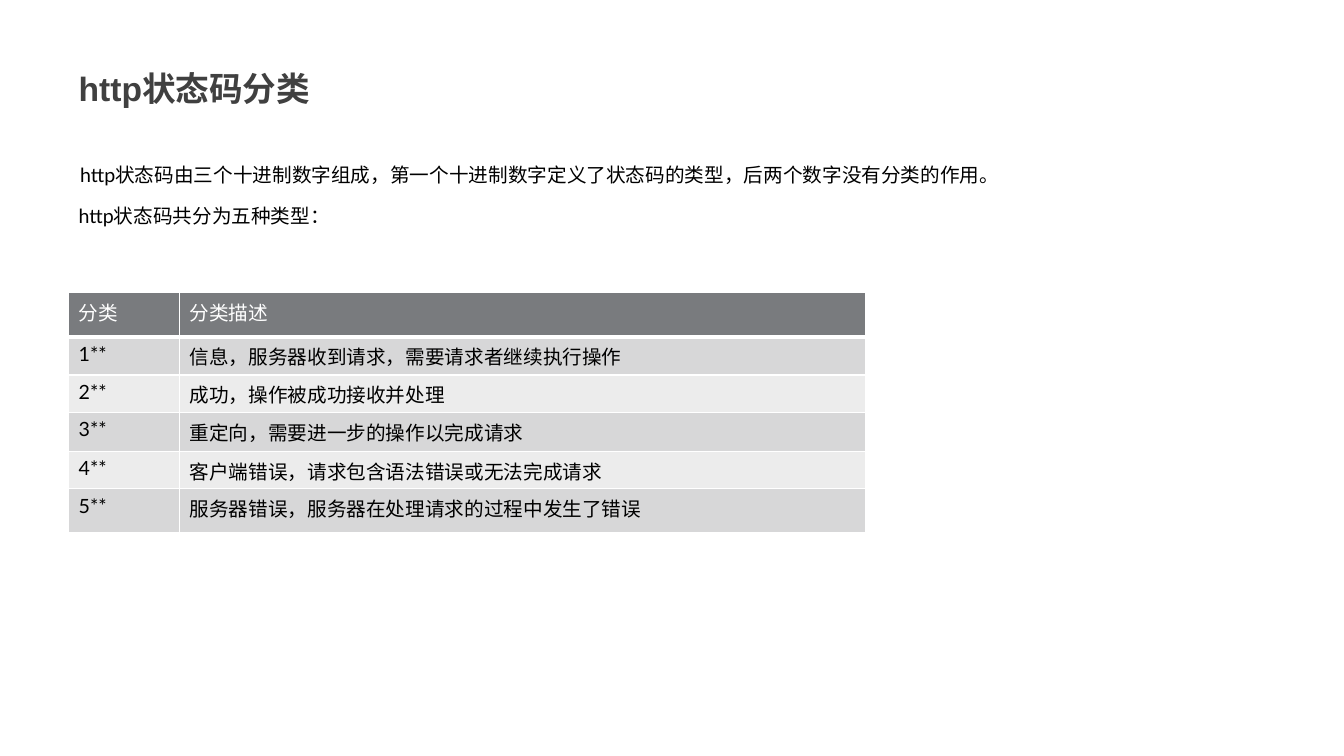
"""Build a slide that explains the classes of HTTP status codes."""
from lxml.etree import SubElement
from pptx import Presentation
from pptx.dml.color import RGBColor
from pptx.enum.text import MSO_ANCHOR as ANCHOR, PP_ALIGN as ALIGN
from pptx.oxml.ns import qn
from pptx.util import Pt

PX = 9144
COLORS = {"title": "404040", "text": "000000", "white": "FFFFFF",
          "header": "797B7E", "odd": "D7D7D8", "even": "ECECEC"}
INTRO = [
    (" ", "http状态码由三个十进制数字组成，第一个十进制数字定义了状态码的类型，后两个数字没有分类的作用。"),
    (" http状态码共分为五种类型：",),
]
ROWS = [
    ("分类", "分类描述"),
    ("1**", "信息，服务器收到请求，需要请求者继续执行操作"),
    ("2**", "成功，操作被成功接收并处理"),
    ("3**", "重定向，需要进一步的操作以完成请求"),
    ("4**", "客户端错误，请求包含语法错误或无法完成请求"),
    ("5**", "服务器错误，服务器在处理请求的过程中发生了错误"),
]
COL_WIDTHS = [110, 681]
ROW_HEIGHTS = [44, 38, 37, 39, 37, 44]


def style(r, size, color, font="Lato", bold=False):
    r.font.size = Pt(size)
    r.font.name = font
    r.font.bold = bold
    r.font.color.rgb = RGBColor.from_string(COLORS[color])


def add_borders(cell, bottom):
    tc_pr = cell._tc.get_or_add_tcPr()
    for i, (side, width) in enumerate([("L", 1), ("R", 1), ("T", 1), ("B", bottom)]):
        line = SubElement(tc_pr, qn(f"a:ln{side}"), w=str(Pt(width)))
        fill = SubElement(line, qn("a:solidFill"))
        SubElement(fill, qn("a:srgbClr"), val=COLORS["white"])
        tc_pr.insert(i, line)


prs = Presentation()
prs.slide_width, prs.slide_height = 1333 * PX, 750 * PX
s = prs.slides.add_slide(prs.slide_layouts[5])

title = s.shapes.title
title.left, title.top, title.width, title.height = 68 * PX, 60 * PX, 827 * PX, 55 * PX
tf = title.text_frame
tf.text = "http状态码分类"
tf.vertical_anchor = ANCHOR.MIDDLE
p = tf.paragraphs[0]
p.alignment = ALIGN.LEFT
style(p.runs[0], 24, "title", "Arial", True)

intro = s.shapes.add_textbox(68 * PX, 141 * PX, 1187 * PX, 91 * PX)
tf = intro.text_frame
tf.word_wrap = True
tf.margin_left = tf.margin_right = tf.margin_top = tf.margin_bottom = 5 * PX
for i, parts in enumerate(INTRO):
    p = tf.add_paragraph() if i else tf.paragraphs[0]
    p.line_spacing = Pt(28.6)
    for part in parts:
        r = p.add_run()
        r.text = part
        style(r, 18 if part == " " else 14, "text")

frame = s.shapes.add_table(len(ROWS), len(COL_WIDTHS), 68 * PX, 290 * PX,
                           sum(COL_WIDTHS) * PX, sum(ROW_HEIGHTS) * PX)
table = frame.table
for col, width in zip(table.columns, COL_WIDTHS):
    col.width = width * PX
for i, (row, height, texts) in enumerate(zip(table.rows, ROW_HEIGHTS, ROWS)):
    row.height = height * PX
    fill = "header" if i == 0 else "odd" if i % 2 else "even"
    for cell, text in zip(row.cells, texts):
        cell.text_frame.text = text
        style(cell.text_frame.paragraphs[0].runs[0], 14, "text" if i else "white")
        cell.fill.solid()
        cell.fill.fore_color.rgb = RGBColor.from_string(COLORS[fill])
        add_borders(cell, 1 if i else 3)

prs.save("out.pptx")
